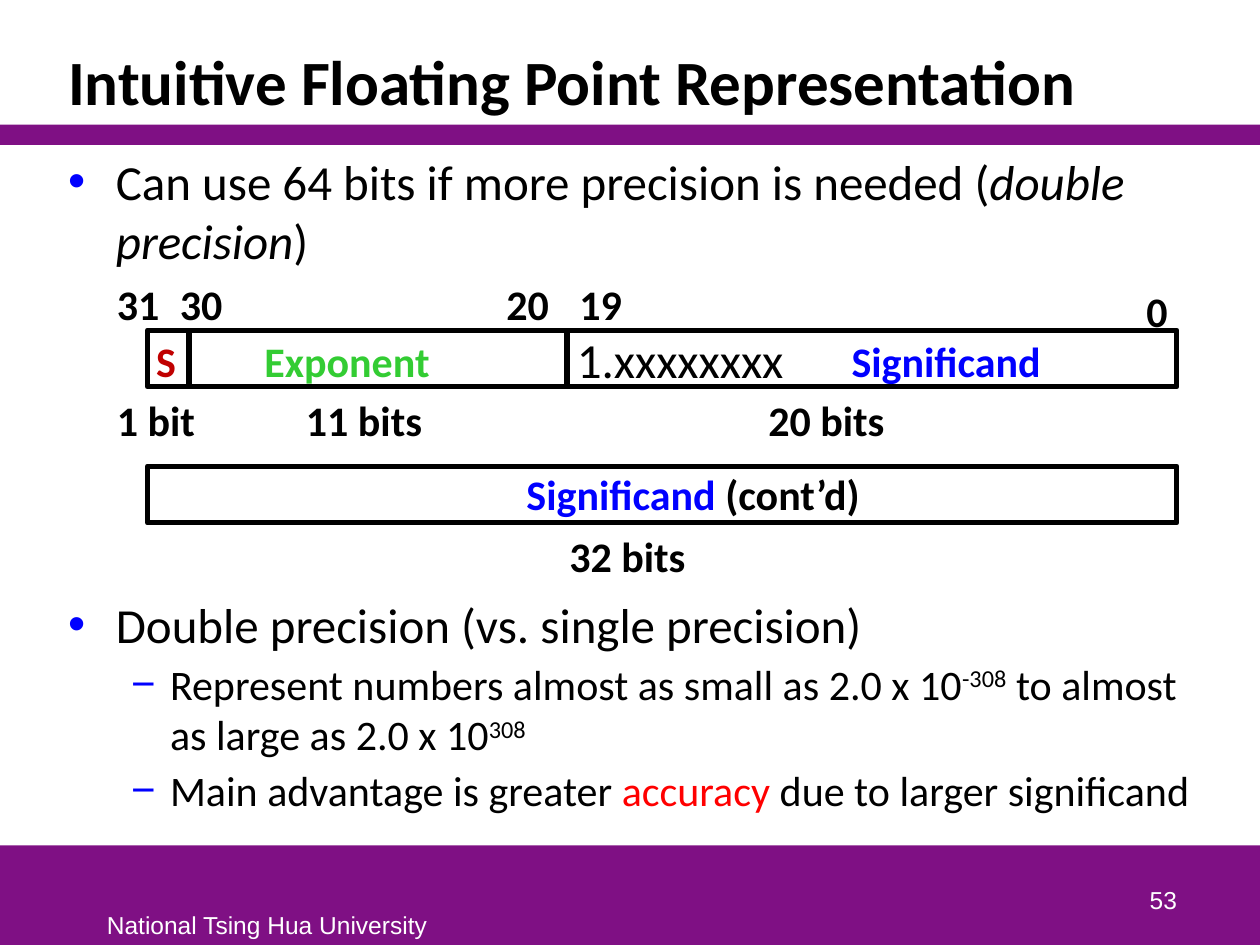
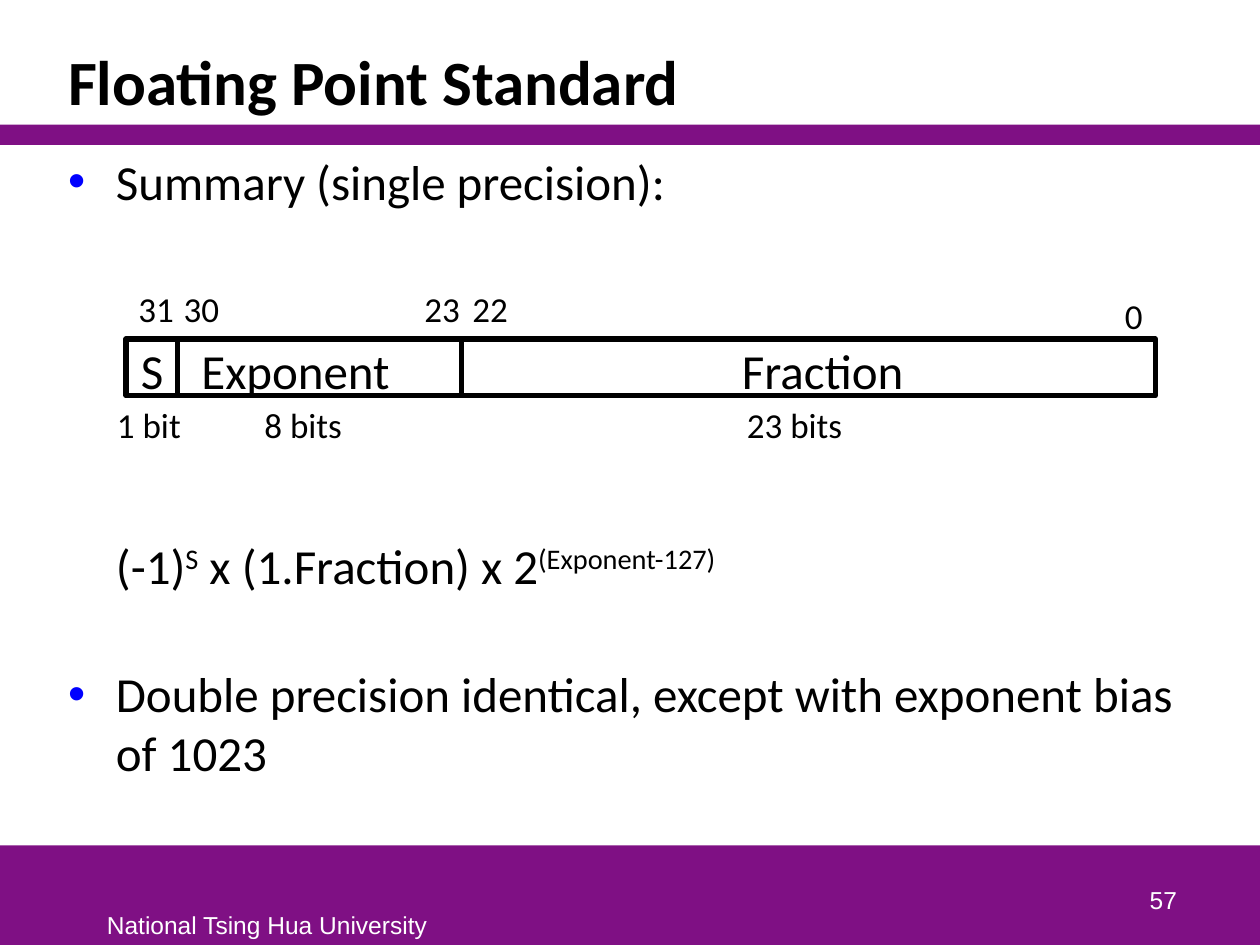
from dataclasses import dataclass

from lxml import etree
from pptx import Presentation
from pptx import util as u
from pptx.dml.color import RGBColor
from pptx.enum import shapes, text
from pptx.oxml import ns


@dataclass(frozen=True)
class Theme:
    purple: str = "7F1084"
    white: str = "FFFFFF"
    black: str = "000000"
    blue: str = "0000FF"
    red: str = "FF0000"
    dark_red: str = "C00000"
    green: str = "33CC33"
    body_font: str = "Calibri"
    footer_font: str = "Arial"
    title: int = 36
    body: int = 28
    sub: int = 24
    small: int = 20
    footer: int = 14
    rule: int = 3          # line width of the registers, points
    para_gap: int = 3      # space before each paragraph, points
    blank_line: float = 36.6  # one skipped body line, points


T = Theme()
UNIVERSITY = "National Tsing Hua University"
SUP = {"sup": True}

# ---- Content ----
# Bullets: (kind, skipped lines above, runs)
# Registers: box is (left, top), dividers are x positions,
# rows are (top, height, format, labels), labels are (text, left, width, format)
BOLD = {"size": T.sub, "bold": True}
PLAIN = {"size": T.small}
FIELD = {"size": T.body}

SLIDES = [
    {
        "title": "Intuitive Floating Point Representation",
        "number": 53,
        "bullets": [
            ("main", 0, [("Can use 64 bits if more precision is needed (", {}),
                         ("double precision", {"italic": True}), (")", {})]),
            ("main", 5, [("Double precision (vs. single precision)", {})]),
            ("sub", 0, [("Represent numbers almost as small as 2.0 x 10", {}),
                        ("-308", SUP), (" to almost as large as 2.0 x 10", {}),
                        ("308", SUP)]),
            ("sub", 0, [("Main advantage is greater ", {}),
                        ("accuracy", {"color": T.red}),
                        (" due to larger significand", {})]),
        ],
        "registers": [
            {"box": (1.17, 2.62), "dividers": [1.5, 4.5], "rows": [
                (2.16, 0.5, BOLD, [("31", 0.83, 0.54, {}), ("30", 1.33, 0.54, {}),
                                   ("20", 3.92, 0.54, {}), ("19", 4.5, 0.54, {})]),
                (2.22, 0.5, BOLD, [("0", 9, 0.37, {})]),
                (2.61, 0.5, BOLD, [("S", 1.14, 0.36, {"color": T.dark_red}),
                                   ("Exponent", 2, 1.53, {"color": T.green}),
                                   ("Significand", 6.66, 1.72, {"color": T.blue})]),
                (2.57, 0.57, FIELD, [("1.xxxxxxxx", 4.48, 1.86, {})]),
                (3.08, 0.5, BOLD, [("1 bit", 0.83, 0.83, {}),
                                   ("11 bits", 2.33, 1.13, {}),
                                   ("20 bits", 6, 1.13, {})]),
            ]},
            {"box": (1.17, 3.7), "dividers": [], "rows": [
                (3.67, 0.5, BOLD, [([("Significand", {"color": T.blue}),
                                     (" (cont’d)", {})], 4.08, 2.88, {})]),
                (4.16, 0.5, BOLD, [("32 bits", 4.42, 1.13, {})]),
            ]},
        ],
    },
    {
        "title": "Floating Point Standard",
        "number": 57,
        "bullets": [
            ("main", 0, [("Summary (single precision):", {})]),
            ("formula", 5, [("(-1)", {}), ("S", SUP), (" x (1.Fraction) x 2", {}),
                            ("(Exponent-127)", SUP)]),
            ("main", 1, [("Double precision identical, except with exponent "
                          "bias of 1023", {})]),
        ],
        "registers": [
            {"box": (1, 2.69), "dividers": [1.41, 3.66], "rows": [
                (2.23, 0.44, PLAIN, [("31", 1, 0.49, {}), ("30", 1.36, 0.49, {}),
                                     ("23", 3.27, 0.49, {}), ("22", 3.65, 0.49, {})]),
                (2.29, 0.44, PLAIN, [("0", 8.83, 0.34, {})]),
                (2.65, 0.57, FIELD, [("S", 1.02, 0.38, {}),
                                     ("Exponent", 1.5, 1.71, {}),
                                     ("Fraction", 5.79, 1.5, {})]),
                (3.15, 0.44, PLAIN, [("1 bit", 0.83, 0.71, {}),
                                     ("8 bits", 2, 0.82, {}),
                                     ("23 bits", 5.83, 0.97, {})]),
            ]},
        ],
    },
]

# kind: (level, left margin, first-line indent, bullet, size)
BULLET_STYLES = {
    "main": (0, 0.38, -0.38, "•", T.body),
    "formula": (0, 0.38, 0, None, T.body),
    "sub": (1, 0.81, -0.31, "−", T.sub),
}
REGISTER_W, REGISTER_H = 8.17, 0.45


# ---- Text ----
def write(p, content, size=T.body, color=T.black, font=T.body_font,
          bold=False, italic=False, sup=False):
    """Fill a paragraph with a string or with (string, format) runs."""
    base = dict(size=size, color=color, font=font, bold=bold,
                italic=italic, sup=sup)
    if not isinstance(content, str):
        for words, fmt in content:
            write(p, words, **{**base, **fmt})
        return
    r = p.add_run()
    r.text = content
    f = r.font
    f.name, f.size, f.bold, f.italic = font, u.Pt(size), bold, italic
    f.color.rgb = RGBColor.from_string(color)
    if sup:
        r._r.get_or_add_rPr().set("baseline", "30000")


def inches(*lengths):
    return [u.Inches(n) for n in lengths]


def add_label(parent, content, box, wrap=False, **fmt):
    sp = parent.add_textbox(*inches(*box))
    tf = sp.text_frame
    tf.word_wrap = wrap
    write(tf.paragraphs[0], content, **fmt)
    return tf


def place(sp, box):
    sp.left, sp.top, sp.width, sp.height = inches(*box)
    tf = sp.text_frame
    tf.auto_size = text.MSO_AUTO_SIZE.NONE
    return tf


def set_bullet(p, kind):
    level, margin, indent, char, _ = BULLET_STYLES[kind]
    p.level = level
    pPr = p._p.get_or_add_pPr()
    pPr.set("marL", str(u.Inches(margin)))
    pPr.set("indent", str(u.Inches(indent)))
    if char is None:
        etree.SubElement(pPr, ns.qn("a:buNone"))
        return
    clr = etree.SubElement(pPr, ns.qn("a:buClr"))
    etree.SubElement(clr, ns.qn("a:srgbClr"), val=T.blue)
    etree.SubElement(pPr, ns.qn("a:buFont"), typeface=T.footer_font)
    etree.SubElement(pPr, ns.qn("a:buChar"), char=char)


# ---- Shapes ----
def add_rect(parent, box, fill=None):
    sp = parent.add_shape(shapes.MSO_SHAPE.RECTANGLE, *inches(*box))
    sp.shadow.inherit = False
    if fill:
        sp.fill.solid()
        sp.fill.fore_color.rgb = RGBColor.from_string(fill)
        sp.line.fill.background()
    else:
        sp.fill.background()
        set_rule(sp.line)


def set_rule(line):
    line.color.rgb = RGBColor.from_string(T.black)
    line.width = u.Pt(T.rule)


def add_divider(parent, x, top):
    c = parent.add_connector(shapes.MSO_CONNECTOR.STRAIGHT,
                             *inches(x, top, x, top + REGISTER_H))
    set_rule(c.line)
    etree.SubElement(c._element.spPr, ns.qn("a:effectLst"))


def add_register(s, register):
    group = s.shapes.add_group_shape().shapes
    left, top = register["box"]
    add_rect(group, (left, top, REGISTER_W, REGISTER_H))
    for x in register["dividers"]:
        add_divider(group, x, top)
    for y, height, style, labels in register["rows"]:
        for words, x, width, fmt in labels:
            add_label(group, words, (x, y, width, height), **style, **fmt)


# ---- Slide parts ----
def add_frame(s, number):
    """Purple bands, university name and slide number."""
    add_rect(s.shapes, (0, 6.71, 10, 0.79), T.purple)
    add_rect(s.shapes, (0, 0.99, 10, 0.16), T.purple)
    footer = dict(size=T.footer, color=T.white, font=T.footer_font)
    add_label(s.shapes, UNIVERSITY, (0.75, 7.17, 2.76, 0.33), **footer)
    tf = add_label(s.shapes, str(number), (7.36, 6.81, 2.08, 0.5),
                   wrap=True, **footer)
    tf.vertical_anchor = text.MSO_ANCHOR.BOTTOM
    tf.paragraphs[0].alignment = text.PP_ALIGN.RIGHT


def add_title(s, title):
    tf = place(s.shapes.title, (0.44, 0.25, 9.12, 0.74))
    tf.vertical_anchor = text.MSO_ANCHOR.BOTTOM
    p = tf.paragraphs[0]
    p.alignment = text.PP_ALIGN.LEFT
    p.line_spacing = 0.85
    write(p, title, size=T.title, bold=True)


def add_bullets(s, bullets):
    tf = place(s.placeholders[1], (0.44, 1.15, 9.12, 5.53))
    for i, (kind, skipped, runs) in enumerate(bullets):
        p = tf.add_paragraph() if i else tf.paragraphs[0]
        p.space_before = u.Pt(T.para_gap + skipped * T.blank_line)
        set_bullet(p, kind)
        write(p, runs, size=BULLET_STYLES[kind][-1])


def main():
    prs = Presentation()
    prs.slide_width, prs.slide_height = inches(10, 7.5)
    for content in SLIDES:
        s = prs.slides.add_slide(prs.slide_layouts[1])
        add_frame(s, content["number"])
        add_title(s, content["title"])
        add_bullets(s, content["bullets"])
        for register in content["registers"]:
            add_register(s, register)
    prs.save("out.pptx")


if __name__ == "__main__":
    main()
